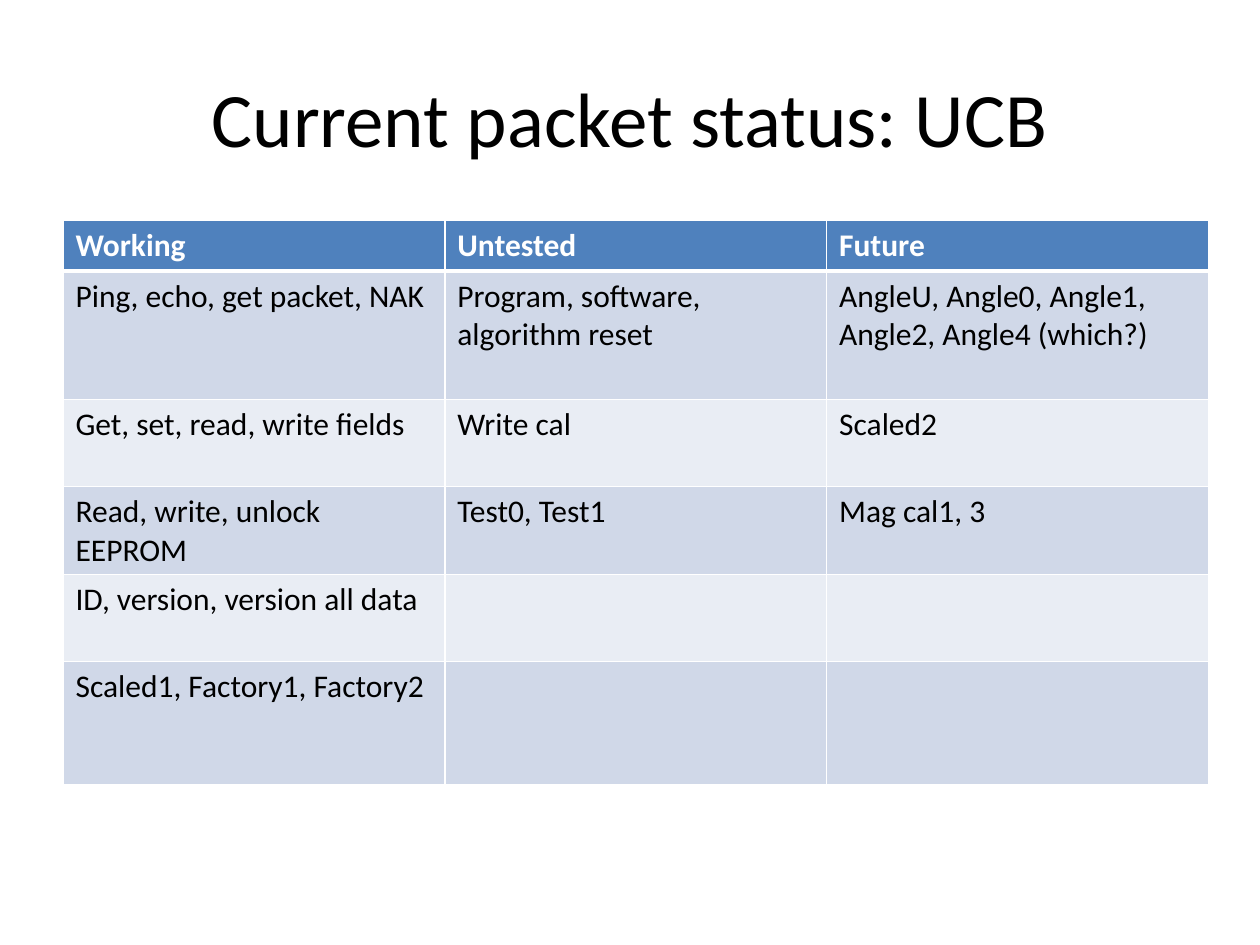
import dataclasses

import lxml.etree
import pptx
import pptx.dml.color
import pptx.enum.text
import pptx.oxml.ns
import pptx.util

Inches = pptx.util.Inches
Pt = pptx.util.Pt


@dataclasses.dataclass
class Row:
    height: float
    fill: str
    texts: tuple[str, ...]
    ink: str = "000000"
    bold: bool = False
    top: int = 1
    bottom: int = 1


BLUE, DARK, LIGHT, WHITE = "4F81BD", "D0D8E8", "E9EDF4", "FFFFFF"
WIDTH = 3.03
ROWS = [
    Row(0.4, BLUE, ("Working", "Untested", "Future"), WHITE, True, bottom=3),
    Row(1.02, DARK, ("Ping, echo, get packet, NAK",
                     "Program, software, algorithm reset",
                     "AngleU, Angle0, Angle1, Angle2, Angle4 (which?)"), top=3),
    Row(0.69, LIGHT, ("Get, set, read, write fields", "Write cal", "Scaled2")),
    Row(0.69, DARK, ("Read, write, unlock EEPROM", "Test0, Test1", "Mag cal1, 3")),
    Row(0.69, LIGHT, ("ID, version, version all data", "", "")),
    Row(0.98, DARK, ("Scaled1, Factory1, Factory2", "", "")),
]


def color(value: str) -> pptx.dml.color.RGBColor:
    return pptx.dml.color.RGBColor.from_string(value)


def style(font, size: int, ink: str, bold: bool = False) -> None:
    formats = {"name": "Calibri", "size": Pt(size), "bold": bold}
    for name, value in formats.items():
        setattr(font, name, value)
    font.color.rgb = color(ink)


def border(cell, row: Row) -> None:
    props = cell._tc.get_or_add_tcPr()
    sides = {"lnL": 1, "lnR": 1, "lnT": row.top, "lnB": row.bottom}
    for index, (side, points) in enumerate(sides.items()):
        line = lxml.etree.Element(pptx.oxml.ns.qn(f"a:{side}"), w=str(Pt(points)))
        fill = lxml.etree.SubElement(line, pptx.oxml.ns.qn("a:solidFill"))
        lxml.etree.SubElement(fill, pptx.oxml.ns.qn("a:srgbClr"), val=WHITE)
        props.insert(index, line)


def add_title(slide, text: str) -> None:
    box = slide.shapes.add_textbox(Inches(0.5), Inches(0.3), Inches(9), Inches(1.25))
    frame = box.text_frame
    frame.word_wrap = True
    frame.vertical_anchor = pptx.enum.text.MSO_ANCHOR.MIDDLE
    para = frame.paragraphs[0]
    para.alignment = pptx.enum.text.PP_ALIGN.CENTER
    run = para.add_run()
    run.text = text
    style(run.font, 44, "000000")


def fill_cell(cell, text: str, row: Row) -> None:
    cell.fill.solid()
    cell.fill.fore_color.rgb = color(row.fill)
    border(cell, row)
    if text:
        run = cell.text_frame.paragraphs[0].add_run()
        run.text = text
        style(run.font, 18, row.ink, row.bold)


def add_status(slide, rows: list[Row]) -> None:
    count = len(rows[0].texts)
    height = sum(row.height for row in rows)
    table = slide.shapes.add_table(
        len(rows), count, Inches(0.5), Inches(1.75),
        Inches(WIDTH * count), Inches(height)).table
    for column in table.columns:
        column.width = Inches(WIDTH)
    for line, row in zip(table.rows, rows):
        line.height = Inches(row.height)
        for cell, text in zip(line.cells, row.texts):
            fill_cell(cell, text, row)


def main() -> None:
    deck = pptx.Presentation()
    deck.slide_width, deck.slide_height = Inches(10), Inches(7.5)
    slide = deck.slides.add_slide(deck.slide_layouts[6])
    add_title(slide, "Current packet status: UCB")
    add_status(slide, ROWS)
    deck.save("out.pptx")


if __name__ == "__main__":
    main()
